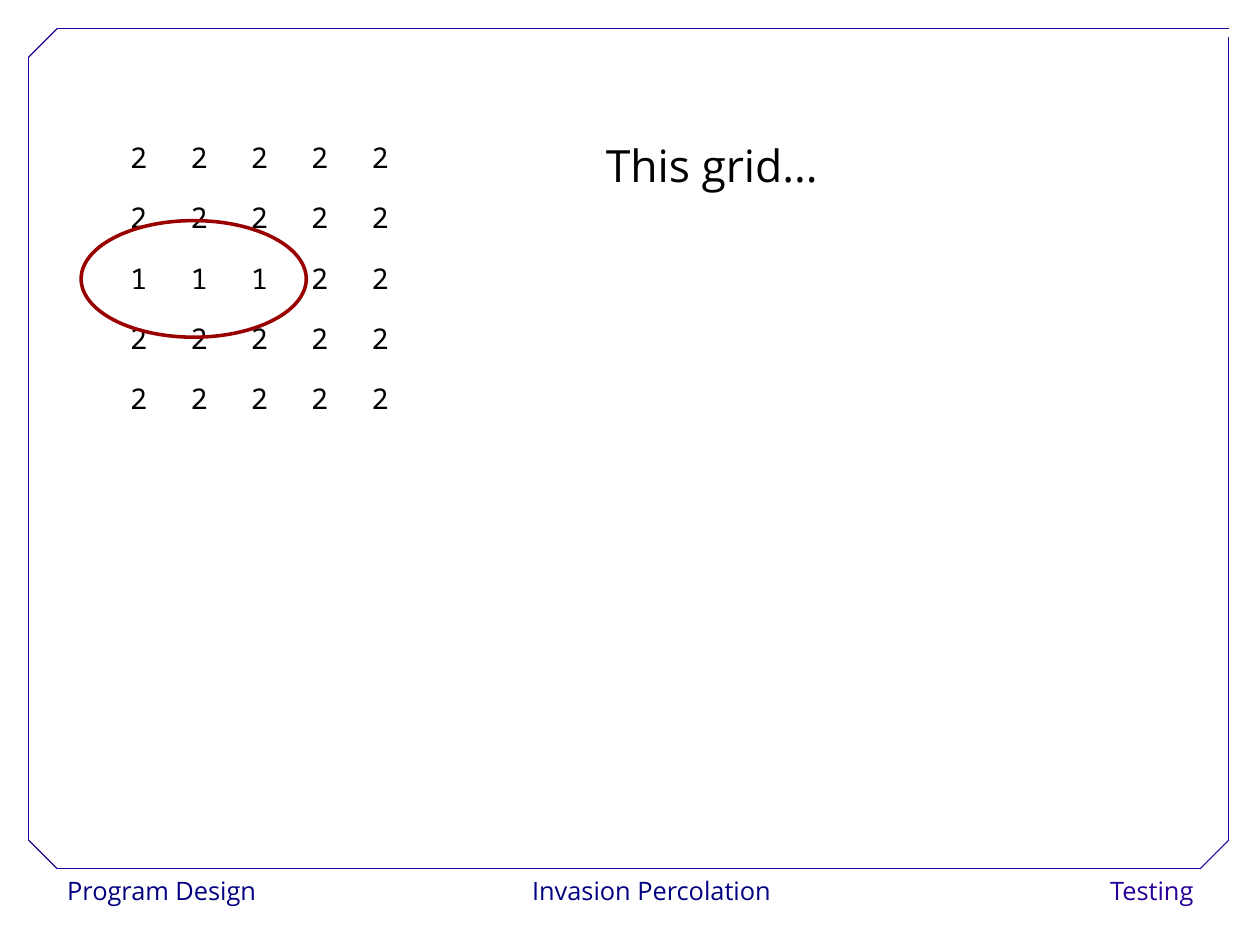
from dataclasses import dataclass

from lxml.etree import SubElement
from pptx import Presentation
from pptx.dml.color import RGBColor
from pptx.enum.shapes import MSO_CONNECTOR, MSO_SHAPE
from pptx.enum.text import MSO_ANCHOR, MSO_AUTO_SIZE, PP_ALIGN
from pptx.oxml.ns import qn
from pptx.util import Cm, Inches, Pt


@dataclass(frozen=True)
class Theme:
    paper: RGBColor = RGBColor(0xFF, 0xFF, 0xFF)
    ink: RGBColor = RGBColor(0, 0, 0)
    navy: RGBColor = RGBColor(0, 0, 0x80)
    violet: RGBColor = RGBColor(0x28, 0, 0x99)
    red: RGBColor = RGBColor(0x99, 0, 0)
    sans: str = "Open Sans"
    mono: str = "Noto Sans Mono"
    title_size: int = 28
    cell_size: int = 18
    footer_size: int = 16
    frame_width: float = 0.75
    ring_width: float = 2.25


THEME = Theme()
PAGE_WIDTH, PAGE_HEIGHT = Cm(28), Cm(21)
GRID_VALUES = ["22222", "22222", "11122", "22222", "22222"]


def write(frame, text, size, font=THEME.sans, color=THEME.ink,
          align=PP_ALIGN.LEFT, spacing=1.02):
    para = frame.paragraphs[0]
    para.alignment = align
    para.line_spacing = spacing
    span = para.add_run()
    span.text = text
    span.font.name = font
    span.font.size = Pt(size)
    span.font.color.rgb = color


def add_frame(page, left, top, right, bottom, corner=0.25):
    """Draw the border with three cut corners and an open top right one."""
    segments = [
        (left + corner, bottom, right - corner, bottom),
        (left, bottom - corner, left, top + corner),
        (left + corner, top, right, top),
        (right, bottom - corner, right, top + 0.07),
        (left, top + corner, left + corner, top),
        (right - corner, bottom, right, bottom - corner),
        (left, bottom - corner, left + corner, bottom),
    ]
    for ends in segments:
        edge = page.shapes.add_connector(MSO_CONNECTOR.STRAIGHT, *map(Inches, ends))
        edge.line.color.rgb = THEME.violet
        edge.line.width = Pt(THEME.frame_width)
        SubElement(edge.element.spPr, qn("a:effectLst"))


def add_footer(page, top, height=0.4):
    labels = [
        ("Program Design", 0.49, 1.9, PP_ALIGN.LEFT, THEME.navy),
        ("Invasion Percolation", 4.53, 2.34, PP_ALIGN.CENTER, THEME.navy),
        ("Testing", 9.14, 1.4, PP_ALIGN.RIGHT, THEME.violet),
    ]
    for text, left, width, align, color in labels:
        box = page.shapes.add_shape(
            MSO_SHAPE.RECTANGLE, *map(Inches, (left, top, width, height)))
        box.shadow.inherit = False
        box.fill.solid()
        box.fill.fore_color.rgb = THEME.paper
        box.line.fill.background()
        box.text_frame.word_wrap = False
        box.text_frame.vertical_anchor = MSO_ANCHOR.TOP
        write(box.text_frame, text, THEME.footer_size, color=color, align=align)


def add_title(page, text, left, top, width, height):
    title = page.shapes.title
    title.left, title.top, title.width, title.height = map(
        Inches, (left, top, width, height))
    frame = title.text_frame
    frame.auto_size = MSO_AUTO_SIZE.NONE
    frame.word_wrap = True
    frame.vertical_anchor = MSO_ANCHOR.TOP
    write(frame, text, THEME.title_size, spacing=1.5)


def add_number_grid(page, values, left, top, side):
    table = page.shapes.add_table(
        len(values), len(values[0]),
        *map(Inches, (left, top, side, side))).table
    table.first_row = table.horz_banding = False
    for row, digits in enumerate(values):
        for column, digit in enumerate(digits):
            cell = table.cell(row, column)
            cell.fill.background()
            cell.vertical_anchor = MSO_ANCHOR.MIDDLE
            write(cell.text_frame, digit, THEME.cell_size,
                  font=THEME.mono, align=PP_ALIGN.CENTER)


def add_ring(page, left, top, width, height):
    ring = page.shapes.add_shape(
        MSO_SHAPE.OVAL, *map(Inches, (left, top, width, height)))
    ring.shadow.inherit = False
    ring.fill.background()
    ring.line.color.rgb = THEME.red
    ring.line.width = Pt(THEME.ring_width)


def main():
    deck = Presentation()
    deck.slide_width, deck.slide_height = PAGE_WIDTH, PAGE_HEIGHT
    page = deck.slides.add_slide(deck.slide_layouts[5])
    add_footer(page, top=7.6)
    add_frame(page, left=0.25, top=0.25, right=10.75, bottom=7.6)
    add_title(page, "This grid...", left=5.2, top=0.92, width=4.86, height=0.8)
    add_number_grid(page, GRID_VALUES, left=0.95, top=1.11, side=2.64)
    add_ring(page, left=0.71, top=1.93, width=1.97, height=1.02)
    deck.save("out.pptx")


if __name__ == "__main__":
    main()
